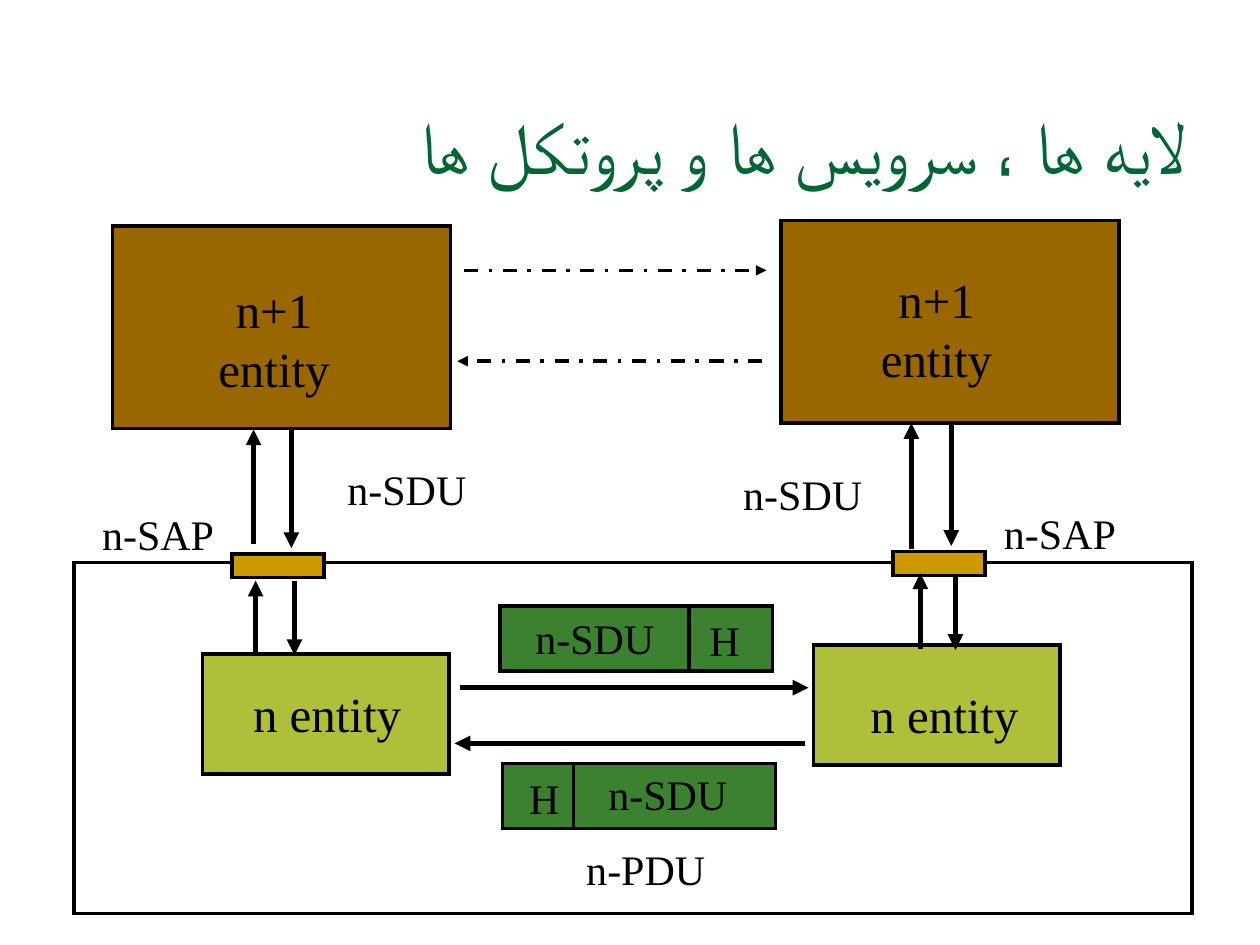
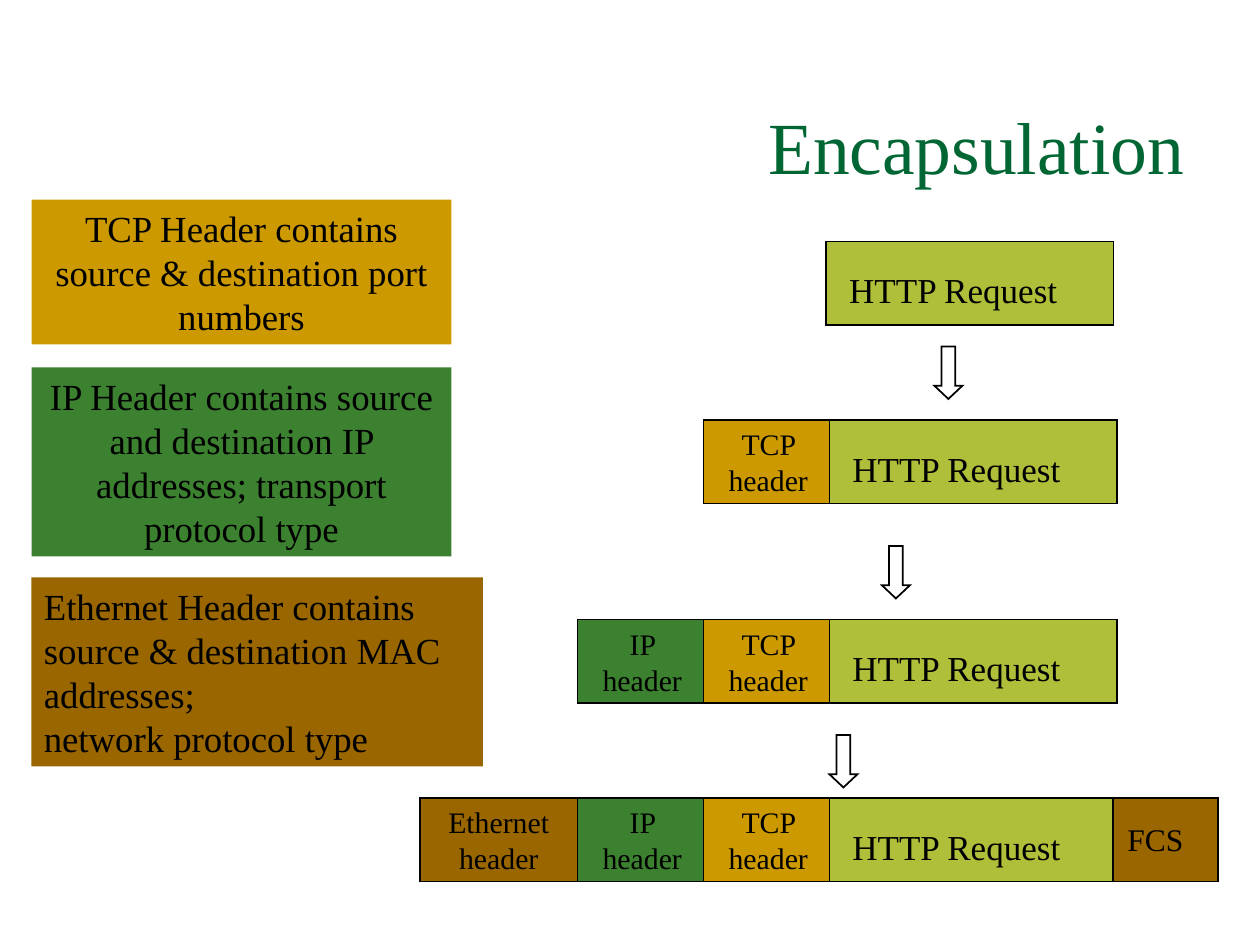
from pptx import Presentation, util as u
from pptx.dml.color import RGBColor
from pptx.enum import dml, shapes, text
from pptx.oxml.ns import qn
from lxml import etree

BLACK = RGBColor(0x00, 0x00, 0x00)
WHITE = RGBColor(0xFF, 0xFF, 0xFF)
TITLE_GREEN = RGBColor(0x00, 0x66, 0x33)
BROWN = RGBColor(0x99, 0x66, 0x00)
GOLD = RGBColor(0xCC, 0x99, 0x00)
GREEN = RGBColor(0x3B, 0x81, 0x2F)
LIME = RGBColor(0xAF, 0xBF, 0x39)
FONT = "Times New Roman"
RECT = shapes.MSO_SHAPE.RECTANGLE
LEFT, CENTER, RIGHT = text.PP_ALIGN.LEFT, text.PP_ALIGN.CENTER, text.PP_ALIGN.RIGHT
TOP, MIDDLE, BOTTOM = text.MSO_ANCHOR.TOP, text.MSO_ANCHOR.MIDDLE, text.MSO_ANCHOR.BOTTOM

deck = Presentation()
deck.slide_width, deck.slide_height = u.Inches(10), u.Inches(7.5)
CELL = deck.slide_width / 120


def block(slide, place, fill=None, weight=0, kind=RECT):
    area = [round(cells * CELL) for cells in place]
    if kind is None:
        return slide.shapes.add_textbox(*area)
    figure = slide.shapes.add_shape(kind, *area)
    figure.shadow.inherit = False
    if fill is None:
        figure.fill.background()
    else:
        figure.fill.solid()
        figure.fill.fore_color.rgb = fill
    if weight:
        figure.line.color.rgb = BLACK
        figure.line.width = u.Pt(weight)
        etree.SubElement(figure.line._get_or_add_ln(), qn("a:miter"), lim="800000")
    else:
        figure.line.fill.background()
    return figure


def write(figure, words, size, align=CENTER, anchor=TOP, wrap=True, color=BLACK):
    frame = figure.text_frame
    frame.word_wrap = wrap
    frame.vertical_anchor = anchor
    if not wrap:
        frame.auto_size = text.MSO_AUTO_SIZE.SHAPE_TO_FIT_TEXT
    for number, line in enumerate(words.split("\n")):
        paragraph = frame.add_paragraph() if number else frame.paragraphs[0]
        paragraph.alignment = align
        run = paragraph.add_run()
        run.text = line
        run.font.name = FONT
        run.font.size = u.Pt(size)
        run.font.color.rgb = color
    return frame


topics = []
for heading in ("لایه ها ، سرویس ها و پروتکل ها", "Encapsulation"):
    topic = deck.slides.add_slide(deck.slide_layouts[6])
    title = block(topic, (6, 3.6, 108, 15), kind=None)
    frame = write(title, heading, 42, RIGHT, BOTTOM, color=TITLE_GREEN)
    frame.paragraphs[0]._p.get_or_add_pPr().set("rtl", "1")
    topics.append(topic)
layers, encapsulation = topics

for place, fill in (
    ((10.7, 21.5, 32.2, 19.3), BROWN),
    ((74.4, 21, 32.2, 19.3), BROWN),
    ((7.05, 53.6, 106.5, 33.4), None),
    ((19.3, 62.3, 23.45, 11.4), LIME),
    ((77.5, 61.45, 23.45, 11.4), LIME),
    ((47.6, 57.7, 26, 6.2), GREEN),
    ((47.85, 72.7, 26, 6.2), GREEN),
    ((22.1, 52.75, 8.75, 2.25), GOLD),
    ((85.05, 52.55, 8.75, 2.25), GOLD),
):
    block(layers, place, fill, 2)

service_flows = [
    (86.8, 52.3, 86.8, 40.3), (90.6, 40.3, 90.6, 52),
    (24.15, 51.8, 24.15, 40.9), (27.75, 40.9, 27.75, 52.2),
    (28.05, 55.3, 28.05, 62.4), (24.35, 62.4, 24.35, 55.3),
    (91, 54.8, 91, 61.9), (87.65, 61.8, 87.65, 54.6),
]
peer_flows = [(43.8, 65.5, 77, 65.5), (76.7, 70.8, 43.3, 70.8)]
virtual_flows = [(44.2, 25.75, 73, 25.75), (72.6, 34.4, 43.55, 34.4)]
header_dividers = [(65.6, 57.7, 65.6, 63.8), (54.6, 72.8, 54.6, 79)]
for flows, weight, dash, arrow in (
    (service_flows + peer_flows, 3, None, True),
    (virtual_flows, 2, dml.MSO_LINE.DASH_DOT, True),
    (header_dividers, 2, None, False),
):
    for ends in flows:
        flow = layers.shapes.add_connector(
            shapes.MSO_CONNECTOR.STRAIGHT, *[round(cells * CELL) for cells in ends])
        flow.line.color.rgb = BLACK
        flow.line.width = u.Pt(weight)
        if dash:
            flow.line.dash_style = dash
        if arrow:
            etree.SubElement(flow.line._get_or_add_ln(), qn("a:tailEnd"), type="triangle")
        etree.SubElement(flow._element.spPr, qn("a:effectLst"))

for words, size, anchor, width, height, spots in (
    ("n+1\nentity", 28, TOP, 13, 12.4, [(19.6, 26), (82.7, 25.1)]),
    ("n entity", 28, TOP, 16.5, 6.7, [(22.9, 64.55), (81.7, 64.6)]),
    ("n-SAP", 24, MIDDLE, 13.1, 6, [(8.5, 47.8), (94.4, 47.7)]),
    ("n-SDU", 24, MIDDLE, 13.7, 6,
     [(31.9, 43.5), (69.6, 44), (49.8, 57.75), (56.75, 72.6)]),
    ("H", 24, MIDDLE, 5.3, 6, [(66.35, 57.95), (49.2, 72.95)]),
    ("n-PDU", 24, MIDDLE, 15, 6, [(54, 79.7)]),
):
    for left, top in spots:
        write(block(layers, (left, top, width, height), kind=None),
              words, size, anchor=anchor, wrap=False)

for words, top, width, height, fill, align in (
    ("TCP Header contains source & destination port numbers", 19, 40, 13.8, GOLD, CENTER),
    ("IP Header contains source and destination IP addresses; transport protocol type",
     35, 40, 18, GREEN, CENTER),
    ("Ethernet Header contains source & destination MAC addresses;\nnetwork protocol type",
     55, 43, 18, BROWN, LEFT),
):
    write(block(encapsulation, (3, top, width, height), fill), words, 21, align, MIDDLE)

for left, top in ((89, 33), (84, 52), (79, 70)):
    step = block(encapsulation, (left, top, 2.65, 5), WHITE, 1, shapes.MSO_SHAPE.DOWN_ARROW)
    step.adjustments[0], step.adjustments[1] = 0.5, 0.47

HEADERS = [
    ("TCP header", 67, 12.35, GOLD),
    ("IP header", 55, 12.35, GREEN),
    ("Ethernet header", 40, 15, BROWN),
]
REQUEST_LEFT, UNIT_HEIGHT = 79, 7.95
for count, top in enumerate((23, 40, 59, 76)):
    for words, left, width, fill in reversed(HEADERS[:count]):
        write(block(encapsulation, (left, top, width, UNIT_HEIGHT), fill, 1), words, 17)
    left = REQUEST_LEFT if count else REQUEST_LEFT - 0.3
    block(encapsulation, (left, top, 27.35, UNIT_HEIGHT), LIME, 1)
    write(block(encapsulation, (left + 1, top + 2, 24.5, 5.3), kind=None),
          "HTTP Request", 20, LEFT)

block(encapsulation, (106, 76, 10, UNIT_HEIGHT), BROWN, 1)
write(block(encapsulation, (106.2, 77.5, 7.7, 4.8), BROWN), "FCS", 18, LEFT, wrap=False)

deck.save("out.pptx")
